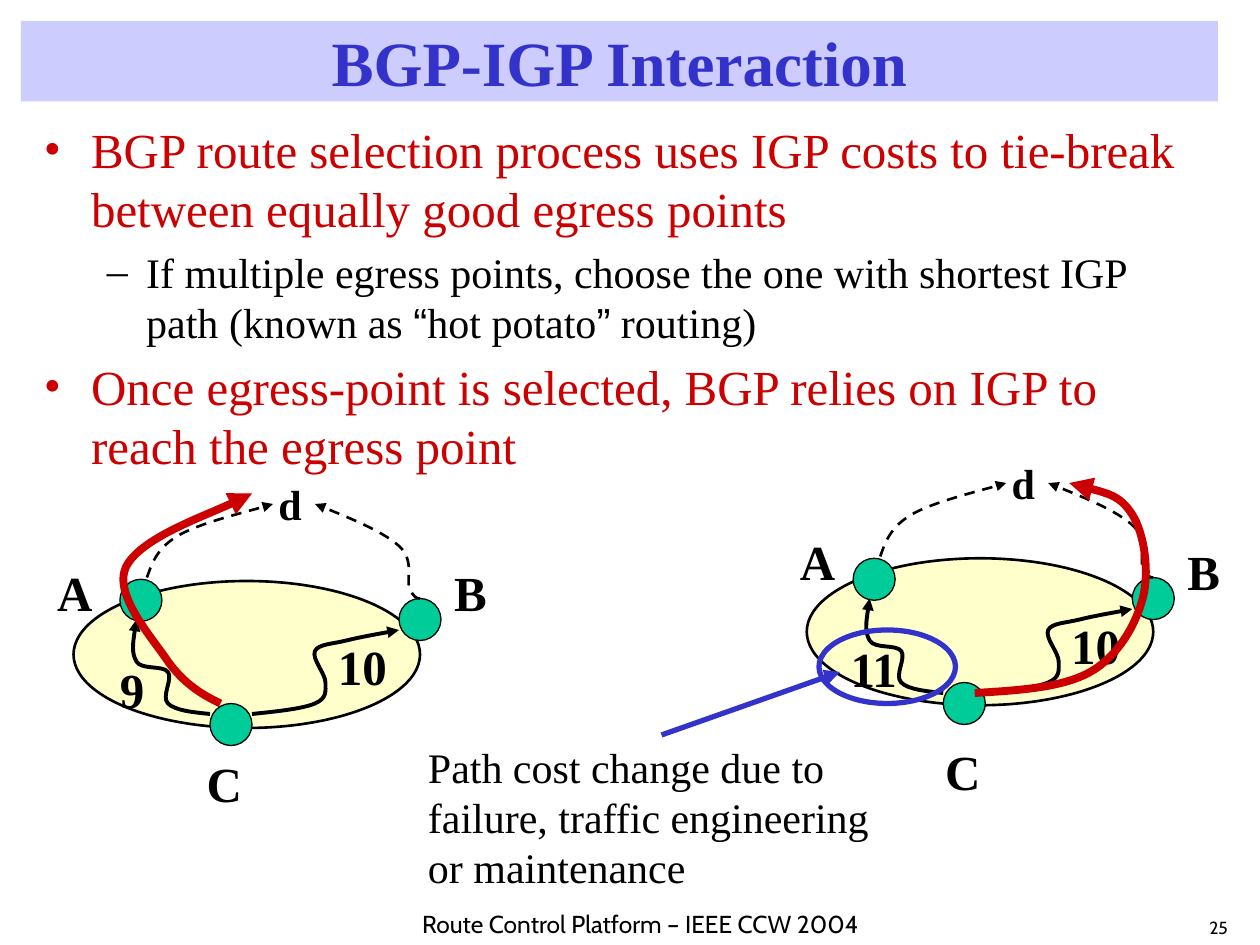
from dataclasses import dataclass

from lxml import etree
from pptx import Presentation
from pptx.dml.color import RGBColor
from pptx.enum.dml import MSO_LINE
from pptx.enum.shapes import MSO_CONNECTOR, MSO_SHAPE
from pptx.enum.text import MSO_ANCHOR, PP_ALIGN
from pptx.oxml.ns import qn
from pptx.util import Pt

OVAL = MSO_SHAPE.OVAL
STRAIGHT = MSO_CONNECTOR.STRAIGHT
DASH = MSO_LINE.DASH
LEFT, CENTER = PP_ALIGN.LEFT, PP_ALIGN.CENTER
TOP, MIDDLE = MSO_ANCHOR.TOP, MSO_ANCHOR.MIDDLE


@dataclass(frozen=True)
class Theme:
    black: str = "000000"
    red: str = "CC0000"
    blue: str = "3333CC"
    title_band: str = "CCCCFF"
    cloud: str = "FFFFCC"
    router: str = "00CC99"
    serif: str = "Times New Roman"
    sans: str = "Arial"
    footer_font: str = "Cabin"
    title: int = 36
    large: int = 28
    medium: int = 24
    footer: int = 14
    number: int = 10


THEME = Theme()
LABEL_WIDTHS = {"A": 34.6, "B": 33.1, "C": 34.6, "d": 28.1, "9": 28.8, "10": 42.5, "11": 42.5}

# Curves: a start point, then three points for each Bezier segment,
# all relative to the top left corner of the network.
C_TO_A = [(78, 77), (68, 76), (58, 75), (54, 71), (50, 67), (57, 57), (54, 53),
          (51, 49), (39, 52), (36, 47), (33, 42), (34.5, 32.5), (36, 23)]
C_TO_B = [(102, 77), (116.5, 75.5), (131, 74), (138, 71), (145, 68), (144, 64), (144, 59),
          (144, 54), (136, 45.5), (138, 41), (140, 37), (148, 37), (156, 35),
          (164, 33), (181, 30), (186, 29)]
A_TO_D = [(42, -1), (45, -9.5), (48, -18), (60, -25), (72, -32), (105, -40), (114, -43)]
B_TO_D = [(198, 11), (196, 11), (194, 10), (192, 5), (190, 0), (195, -11), (186, -19),
          (177, -27), (158, -35), (138, -43)]
ROUTE_VIA_A = [(84, 71), (73.5, 66), (63.5, 60), (54, 47), (45.5, 34), (22.5, 9), (30, -7),
               (38, -23), (90, -42), (102, -49)]
ROUTE_VIA_B = [(96, 77), (121, 75.5), (146, 74), (162, 65), (178, 56), (188, 38), (192, 23),
               (196, 8), (193, -14), (186, -25), (179, -36), (164, -39.5), (150, -43)]


def color(value):
    return RGBColor.from_string(value)


def add_run(paragraph, text, font, size, fill, bold):
    run = paragraph.add_run()
    run.text = text
    run.font.name, run.font.size, run.font.bold = font, Pt(size), bold
    run.font.color.rgb = color(fill)


def add_text(slide, box, lines, *, size, fill=THEME.black, font=THEME.serif, bold=False,
             align=LEFT, anchor=TOP, wrap=True):
    shape = slide.shapes.add_textbox(*map(Pt, box))
    frame = shape.text_frame
    frame.word_wrap, frame.vertical_anchor = wrap, anchor
    for index, line in enumerate(lines):
        paragraph = frame.add_paragraph() if index else frame.paragraphs[0]
        paragraph.alignment = align
        add_run(paragraph, line, font, size, fill, bold)
    return shape


def add_bullet(paragraph, runs, *, level, character, margin, hanging, size, fill):
    paragraph.level = level
    paragraph.space_before = Pt(size * 0.2)
    properties = paragraph._p.get_or_add_pPr()
    properties.set("marL", str(Pt(margin)))
    properties.set("indent", str(-Pt(hanging)))
    etree.SubElement(properties, qn("a:buFont")).set("typeface", THEME.serif)
    etree.SubElement(properties, qn("a:buChar")).set("char", character)
    for text, font in runs:
        add_run(paragraph, text, font, size, fill, False)


def style_line(shape, fill, width, dash=None, arrow=False):
    shape.line.color.rgb, shape.line.width = color(fill), Pt(width)
    if dash:
        shape.line.dash_style = dash
    if arrow:
        etree.SubElement(shape.line._get_or_add_ln(), qn("a:tailEnd")).set("type", "triangle")


def add_ellipse(slide, box, *, line, width, fill=None):
    shape = slide.shapes.add_shape(OVAL, *map(Pt, box))
    shape.shadow.inherit = False
    if fill:
        shape.fill.solid()
        shape.fill.fore_color.rgb = color(fill)
    else:
        shape.fill.background()
    style_line(shape, line, width)


def add_curve(slide, origin, points, *, width, fill=THEME.black, dash=None):
    left, top = origin
    start, *rest = [(Pt(left + x), Pt(top + y)) for x, y in points]
    builder = slide.shapes.build_freeform(*start)
    builder.add_line_segments(rest, close=False)
    shape = builder.convert_to_shape()
    shape.shadow.inherit = False
    shape.fill.background()
    style_line(shape, fill, width, dash, arrow=True)
    # Join each three straight segments into one Bezier segment
    outline = next(shape._element.iter(qn("a:path")))
    segments = outline.findall(qn("a:lnTo"))
    for index in range(0, len(segments), 3):
        curve = etree.SubElement(outline, qn("a:cubicBezTo"))
        for segment in segments[index:index + 3]:
            curve.append(segment[0])
            outline.remove(segment)


def add_title(slide, box):
    band = add_text(slide, box, ["BGP-IGP Interaction"], size=THEME.title, fill=THEME.blue,
                    bold=True, align=CENTER, anchor=MIDDLE)
    band.fill.solid()
    band.fill.fore_color.rgb = color(THEME.title_band)


def add_body(slide, box):
    frame = slide.shapes.add_textbox(*map(Pt, box)).text_frame
    frame.word_wrap = True
    main = dict(level=0, character="•", margin=27, hanging=27, size=THEME.large, fill=THEME.red)
    detail = dict(level=1, character="–", margin=58.5, hanging=22.5, size=THEME.medium,
                  fill=THEME.black)
    serif, sans = THEME.serif, THEME.sans
    bullets = [
        (main, [("BGP route selection process uses IGP costs to tie-break between equally "
                 "good egress points", serif)]),
        (detail, [("If multiple egress points, choose the one with shortest IGP path (known as ",
                   serif), ("“", sans), ("hot potato", serif), ("”", sans),
                  (" routing)", serif)]),
        (main, [("Once egress-point is selected, BGP relies on IGP to reach the egress point",
                 serif)]),
    ]
    for index, (style, runs) in enumerate(bullets):
        paragraph = frame.add_paragraph() if index else frame.paragraphs[0]
        add_bullet(paragraph, runs, **style)


def add_network(slide, box, *, cost_to_a, cost_x, label_a, label_c, route, cloud_drop=0):
    left, top, width, height = box
    origin = left, top
    add_ellipse(slide, (left, top + cloud_drop, width, height), fill=THEME.cloud,
                line=THEME.black, width=1.5)
    # Routers B, C and A
    for x, y in ((width - 12, 11), (78, height - 13), (26.5, 0)):
        add_ellipse(slide, (left + x, top + y, 24, 24), fill=THEME.router,
                    line=THEME.black, width=0.75)
    # Internal paths and external routes
    for points in (C_TO_A, C_TO_B):
        add_curve(slide, origin, points, width=2.25)
    for points in (A_TO_D, B_TO_D):
        add_curve(slide, origin, points, width=1.5, dash=DASH)
    # Names and costs
    labels = [("d", (110, -61)), (cost_to_a, (cost_x, 42.5)), ("10", (144, 29)),
              ("A", label_a), ("B", (210.5, -13)), ("C", label_c)]
    for text, (x, y) in labels:
        size = THEME.medium if text == "d" else THEME.large
        add_text(slide, (left + x, top + y, LABEL_WIDTHS[text], size * 1.47), [text],
                 size=size, bold=True, wrap=False)
    # Chosen route
    add_curve(slide, origin, route, width=4.5, fill=THEME.red)


def add_cost_note(slide, box):
    left, top, width, height = box
    add_text(slide, box, ["Path cost change due to", "failure, traffic engineering",
                          "or maintenance"], size=THEME.medium)
    pointer = slide.shapes.add_connector(
        STRAIGHT, Pt(left + 140.5), Pt(top), Pt(left + 242.5), Pt(top - 36))
    style_line(pointer, THEME.blue, 3, arrow=True)
    etree.SubElement(pointer._element.spPr, qn("a:effectLst"))
    add_ellipse(slide, (left + 230.5, top - 60, 78, 42), line=THEME.blue, width=3)


def add_footer(slide, box):
    left, top, width, height = box
    add_text(slide, (left, top, 300, height), ["Route Control Platform – IEEE CCW 2004"],
             size=THEME.footer, font=THEME.footer_font, align=CENTER)
    add_text(slide, (left + width - 36, top + 4.5, 36, 19.5), ["25"],
             size=THEME.number, font=THEME.footer_font)


def main():
    presentation = Presentation()
    presentation.slide_width, presentation.slide_height = Pt(720), Pt(540)
    slide = presentation.slides.add_slide(presentation.slide_layouts[6])
    add_footer(slide, (216, 516, 504, 24))
    add_title(slide, (12, 12, 684, 46))
    add_body(slide, (18, 65, 678, 214))
    add_network(slide, (42, 331, 198, 84), cost_to_a="9", cost_x=19.5, label_a=(-16.5, -13),
                label_c=(69, 96), route=ROUTE_VIA_A, cloud_drop=1)
    add_network(slide, (461, 319, 198, 84), cost_to_a="11", cost_x=18, label_a=(-11, -19),
                label_c=(72, 101), route=ROUTE_VIA_B)
    add_cost_note(slide, (237.5, 420, 280, 94))
    presentation.save("out.pptx")


if __name__ == "__main__":
    main()
